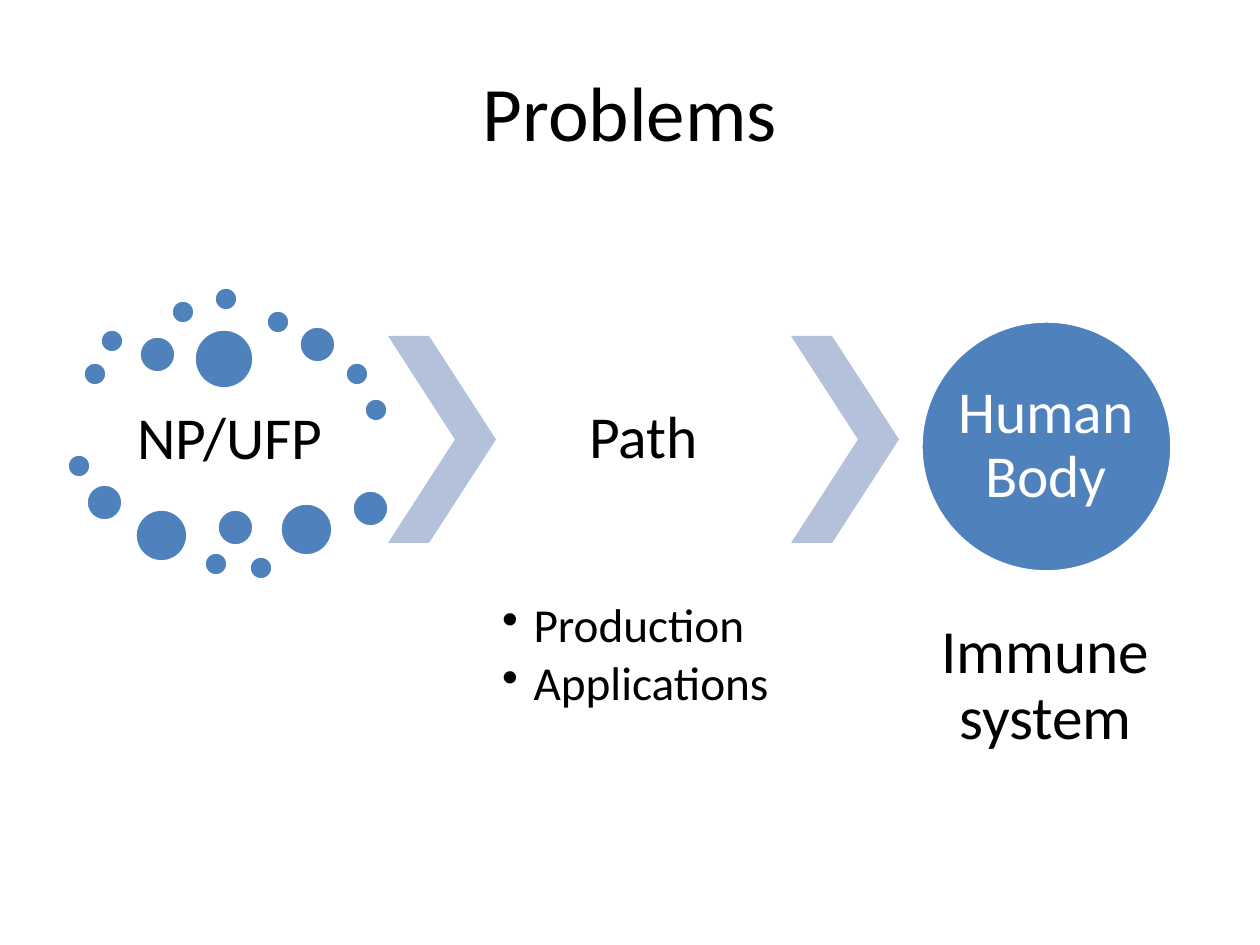
from lxml.etree import SubElement
from pptx import Presentation
from pptx.dml.color import RGBColor
from pptx.enum.shapes import MSO_SHAPE
from pptx.enum.text import MSO_ANCHOR, PP_ALIGN
from pptx.oxml.ns import qn
from pptx.util import Pt

BLACK, WHITE, BLUE, PALE = "000000", "FFFFFF", "4F81BD", "B3C1DB"
SMALL, MEDIUM, LARGE, HUGE = 24, 37, 53, 60
PARTICLES = {
    SMALL: [(83, 362), (100, 329), (171, 300), (214, 287), (266, 310), (345, 362),
            (364, 398), (67, 454), (204, 552), (249, 556)],
    MEDIUM: [(139, 336), (299, 326), (86, 484), (217, 509), (352, 490)],
    LARGE: [(135, 509), (280, 503)],
    HUGE: [(194, 329)],
}
BODY = (921, 321, 251, 251)
CHEVRONS = [(388, 336, 108, 207), (791, 336, 108, 207)]
LABELS = [
    ("Problems", (63, 38, 1134, 157), 44, BLACK, 6),
    ("NP/UFP", (83, 392, 294, 97), 34, BLACK, 6),
    ("Path", (496, 336, 295, 207), 34, BLACK, 6),
    ("Human Body", (958, 358, 176, 176), 34, WHITE, 0),
    ("Immune system", (898, 596, 295, 181), 35, BLACK, 6),
]
PATHS = ["Production", "Applications"]
PATHS_AREA = (496, 596, 295, 181)


def px(length):
    return round(length * 914400 / 126)


def color(value):
    return RGBColor.from_string(value)


def add_figure(page, kind, area, fill, outline=None):
    figure = page.shapes.add_shape(kind, *map(px, area))
    figure.shadow.inherit = False
    figure.fill.solid()
    figure.fill.fore_color.rgb = color(fill)
    if outline:
        figure.line.color.rgb = color(outline)
        figure.line.width = Pt(2)
    else:
        figure.line.fill.background()
    return figure


def add_text(page, lines, area, size, ink, inset, align, anchor):
    frame = page.shapes.add_textbox(*map(px, area)).text_frame
    frame.word_wrap = True
    frame.vertical_anchor = anchor
    frame.margin_left = frame.margin_right = px(inset)
    frame.margin_top = frame.margin_bottom = px(inset)
    frame.text = "\n".join(lines)
    for para in frame.paragraphs:
        para.alignment = align
        para.line_spacing = 0.9
        para.font.name = "Calibri"
        para.font.size = Pt(size)
        para.font.color.rgb = color(ink)
    return frame


def add_bullets(frame):
    for para in frame.paragraphs:
        para.space_after = Pt(4)
        properties = para._p.get_or_add_pPr()
        properties.set("marL", str(px(31.5)))
        properties.set("indent", str(-px(31.5)))
        bullet = SubElement(properties, qn("a:buChar"))
        bullet.set("char", "•")
        defaults = properties.find(qn("a:defRPr"))
        if defaults is not None:
            defaults.addprevious(bullet)


def main():
    deck = Presentation()
    deck.slide_width, deck.slide_height = px(1260), px(945)
    page = deck.slides.add_slide(deck.slide_layouts[6])
    for size, corners in PARTICLES.items():
        for left, top in corners:
            add_figure(page, MSO_SHAPE.OVAL, (left, top, size, size), BLUE, WHITE)
    for area in CHEVRONS:
        add_figure(page, MSO_SHAPE.CHEVRON, area, PALE).adjustments[0] = 0.62
    add_figure(page, MSO_SHAPE.OVAL, BODY, BLUE, WHITE)
    for text, area, size, ink, inset in LABELS:
        add_text(page, [text], area, size, ink, inset, PP_ALIGN.CENTER, MSO_ANCHOR.MIDDLE)
    add_bullets(add_text(page, PATHS, PATHS_AREA, 27, BLACK, 6, PP_ALIGN.LEFT, MSO_ANCHOR.TOP))
    deck.save("out.pptx")


if __name__ == "__main__":
    main()
